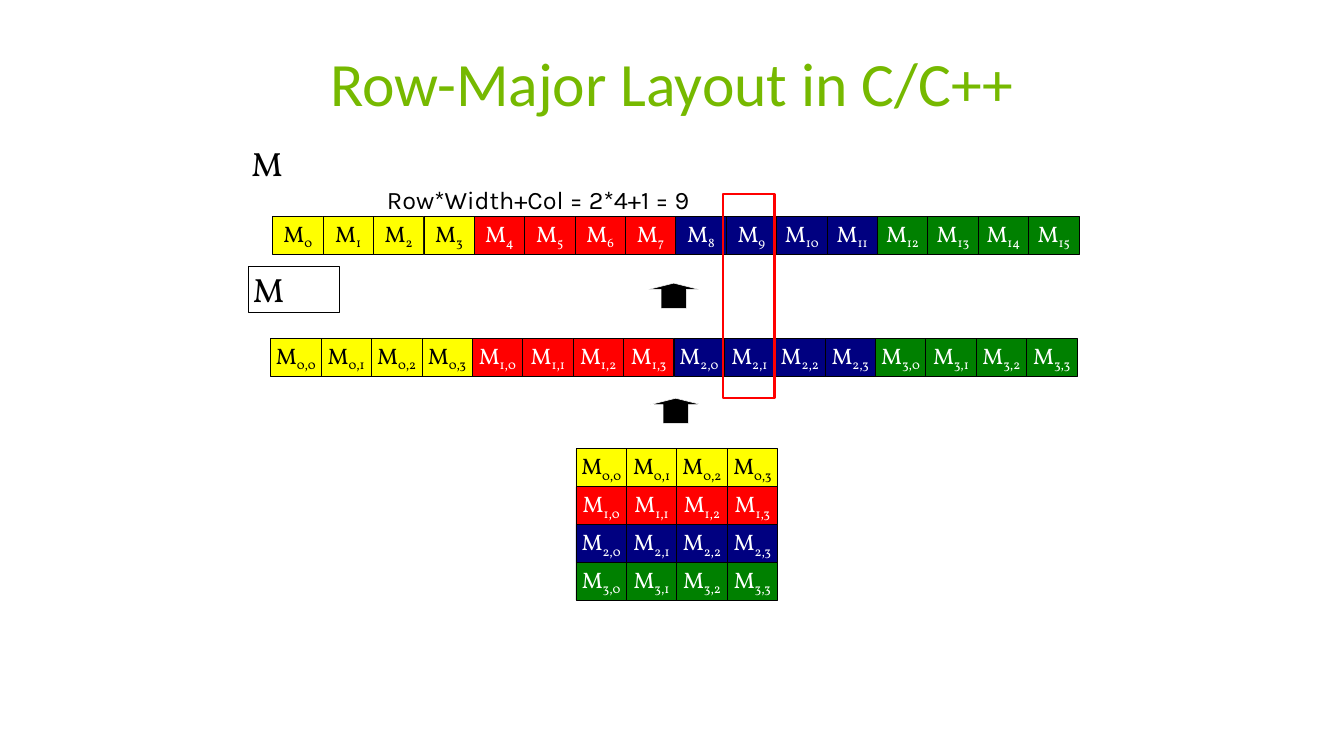
from typing import NamedTuple, Optional

from pptx import Presentation
from pptx.dml.color import RGBColor
from pptx.enum.shapes import MSO_SHAPE
from pptx.enum.text import MSO_ANCHOR, MSO_AUTO_SIZE, PP_ALIGN
from pptx.util import Cm, Pt

RECT, DOWN_ARROW = MSO_SHAPE.RECTANGLE, MSO_SHAPE.DOWN_ARROW
LEFT, CENTER = PP_ALIGN.LEFT, PP_ALIGN.CENTER
TOP, MIDDLE = MSO_ANCHOR.TOP, MSO_ANCHOR.MIDDLE
NO_FIT = MSO_AUTO_SIZE.NONE

BLACK, WHITE, RED, GREEN_TITLE = "000000", "FFFFFF", "FF0000", "76B900"
ROW_FILLS = ["FFFF00", RED, "000080", "008000"]
ROW_INKS = [BLACK, WHITE, WHITE, WHITE]
MATRIX_FONT = "Vollkorn"
WIDTH = 4
CELL_W, CELL_H = 2.54, 1.91


class Box(NamedTuple):
    """Position and size in centimetres."""
    left: float
    top: float
    width: float
    height: float


class Style(NamedTuple):
    font: str
    size: float
    color: str


def rgb(hex_color: str) -> RGBColor:
    return RGBColor.from_string(hex_color)


def lengths(box: Box) -> list:
    return [Cm(value) for value in box]


def add_run(paragraph, text: str, style: Style, baseline: int = 0) -> None:
    run = paragraph.add_run()
    run.text = text
    run.font.name = style.font
    run.font.size = Pt(style.size)
    run.font.color.rgb = rgb(style.color)
    if baseline:
        run._r.get_or_add_rPr().set("baseline", str(baseline * 1000))


def format_frame(frame, anchor, align, wrap: bool):
    """Lay out a text frame and return its first paragraph."""
    frame.auto_size = NO_FIT
    frame.word_wrap = wrap
    frame.vertical_anchor = anchor
    paragraph = frame.paragraphs[0]
    paragraph.alignment = align
    return paragraph


def add_outline(slide, kind, box: Box, fill: Optional[str], line: str, weight: float):
    shape = slide.shapes.add_shape(kind, *lengths(box))
    shape.shadow.inherit = False
    if fill:
        shape.fill.solid()
        shape.fill.fore_color.rgb = rgb(fill)
    else:
        shape.fill.background()
    shape.line.color.rgb = rgb(line)
    shape.line.width = Pt(weight)
    return shape


def add_element(slide, left: float, top: float, row: int, index: str) -> None:
    """One matrix element: a coloured cell holding M with a subscript."""
    cell = add_outline(slide, RECT, Box(left, top, CELL_W, CELL_H),
                       ROW_FILLS[row], BLACK, 0.75)
    style = Style(MATRIX_FONT, 32, ROW_INKS[row])
    paragraph = format_frame(cell.text_frame, MIDDLE, CENTER, False)
    add_run(paragraph, "M", style)
    add_run(paragraph, index, style, baseline=-25)


def add_label(slide, box: Box, text: str, style: Style) -> None:
    label = slide.shapes.add_textbox(*lengths(box))
    add_run(format_frame(label.text_frame, TOP, LEFT, False), text, style)


def add_up_arrow(slide, left: float, top: float) -> None:
    arrow = add_outline(slide, DOWN_ARROW, Box(left, top, 2.54, 1.27), BLACK, WHITE, 0.75)
    arrow.adjustments[0], arrow.adjustments[1] = 0.5, 0.25
    arrow.rotation = 180


def main() -> None:
    presentation = Presentation()
    presentation.slide_width, presentation.slide_height = Cm(67.74), Cm(38.1)
    slide = presentation.slides.add_slide(presentation.slide_layouts[5])

    # Title
    title = slide.shapes.title
    title.left, title.top, title.width, title.height = lengths(Box(3.07, 2.13, 61.57, 4.01))
    add_run(format_frame(title.text_frame, MIDDLE, CENTER, True),
            "Row-Major Layout in C/C++", Style("Calibri", 88, GREEN_TITLE))

    # The matrix, its rows end to end, and the linear array
    for position in range(WIDTH * WIDTH):
        row, col = divmod(position, WIDTH)
        row_col = f"{row},{col}"
        add_element(slide, 29.03 + col * CELL_W, 22.61 + row * CELL_H, row, row_col)
        add_element(slide, 13.64 + position * CELL_W, 17.04, row, row_col)
        add_element(slide, 13.74 + position * CELL_W, 10.9, row, str(position))

    # Steps from the matrix up to the array
    add_up_arrow(slide, 32.79, 20.07)
    add_up_arrow(slide, 32.69, 14.27)

    # Array names and index formula
    name_style = Style(MATRIX_FONT, 48, BLACK)
    add_label(slide, Box(12.42, 7.09, 2.13, 2.31), "M", name_style)
    framed_name = add_outline(slide, RECT, Box(12.5, 13.41, 4.6, 2.31), None, BLACK, 0.75)
    add_run(format_frame(framed_name.text_frame, TOP, LEFT, True), "M", name_style)
    add_label(slide, Box(19.25, 9.17, 16.31, 1.8), "Row*Width+Col = 2*4+1 = 9",
              Style("Karla", 36, BLACK))

    # Highlight around element 9
    add_outline(slide, RECT, Box(36.45, 9.78, 2.59, 10.26), None, RED, 3)

    presentation.save("out.pptx")


if __name__ == "__main__":
    main()
